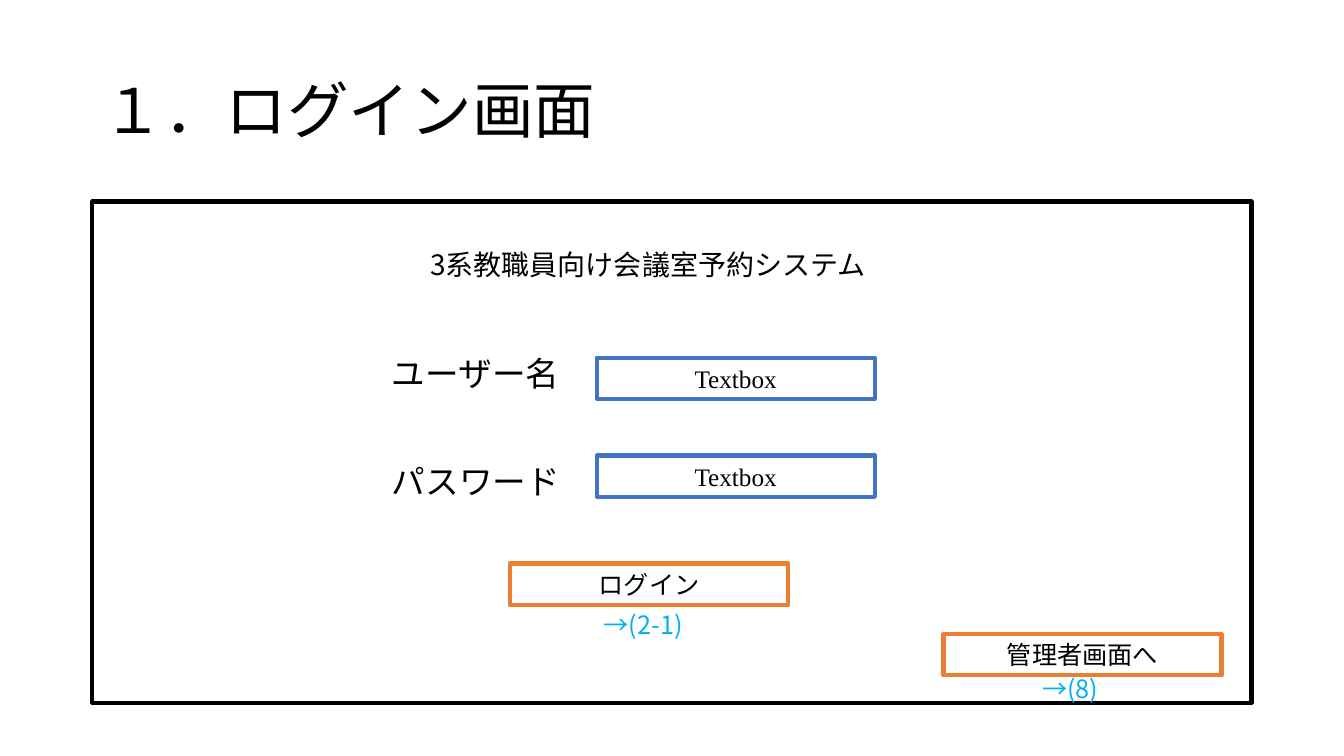
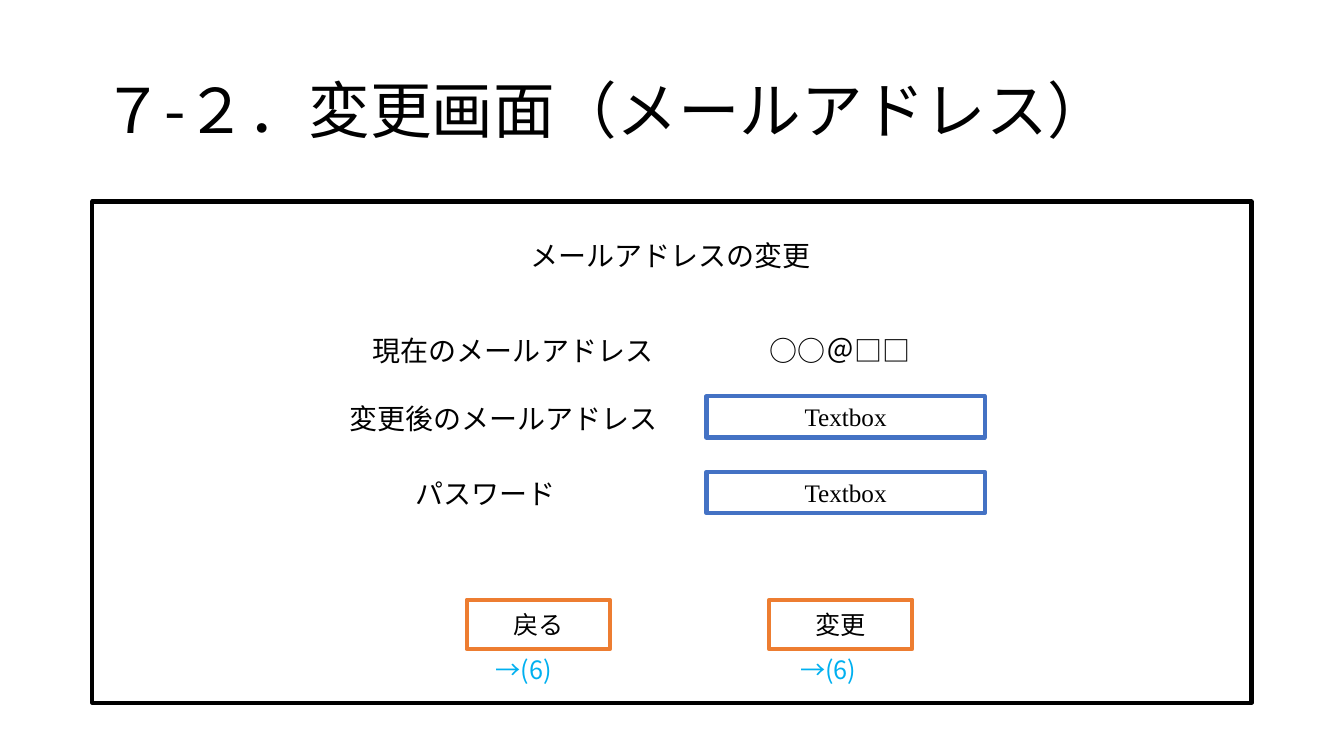
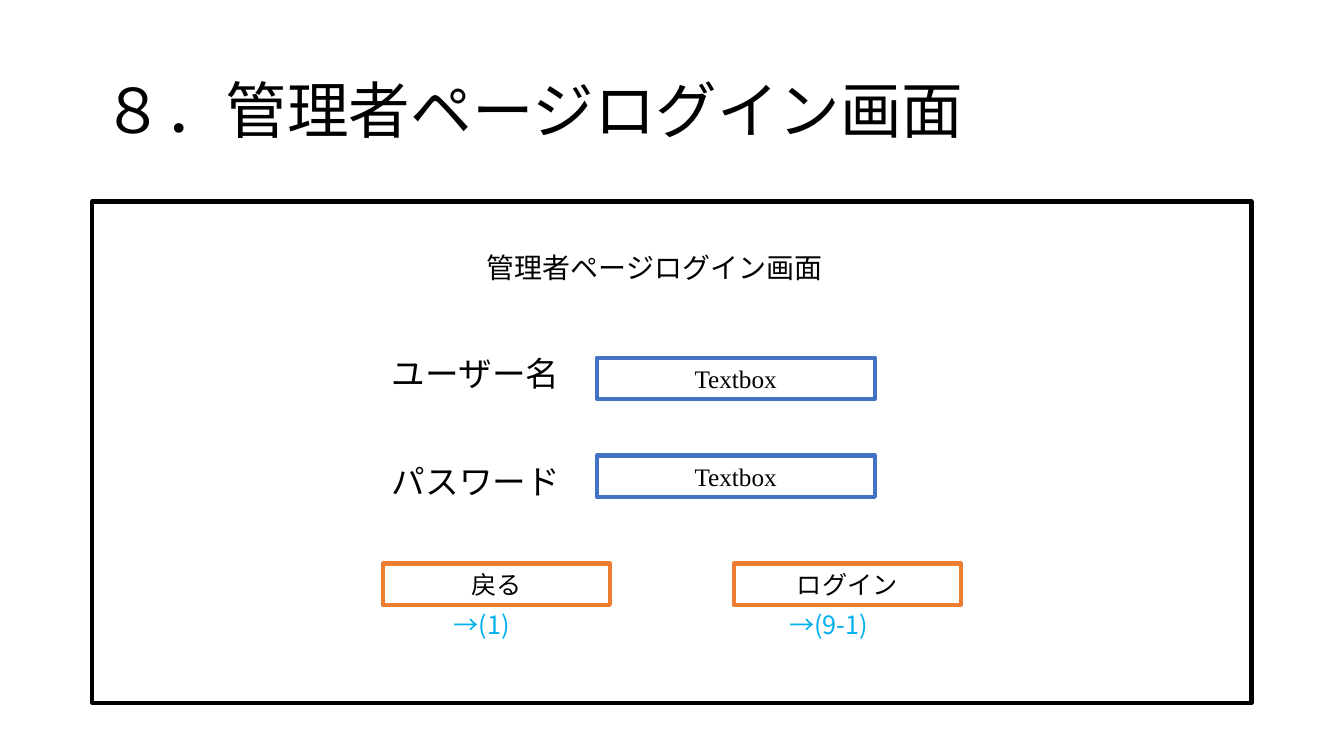
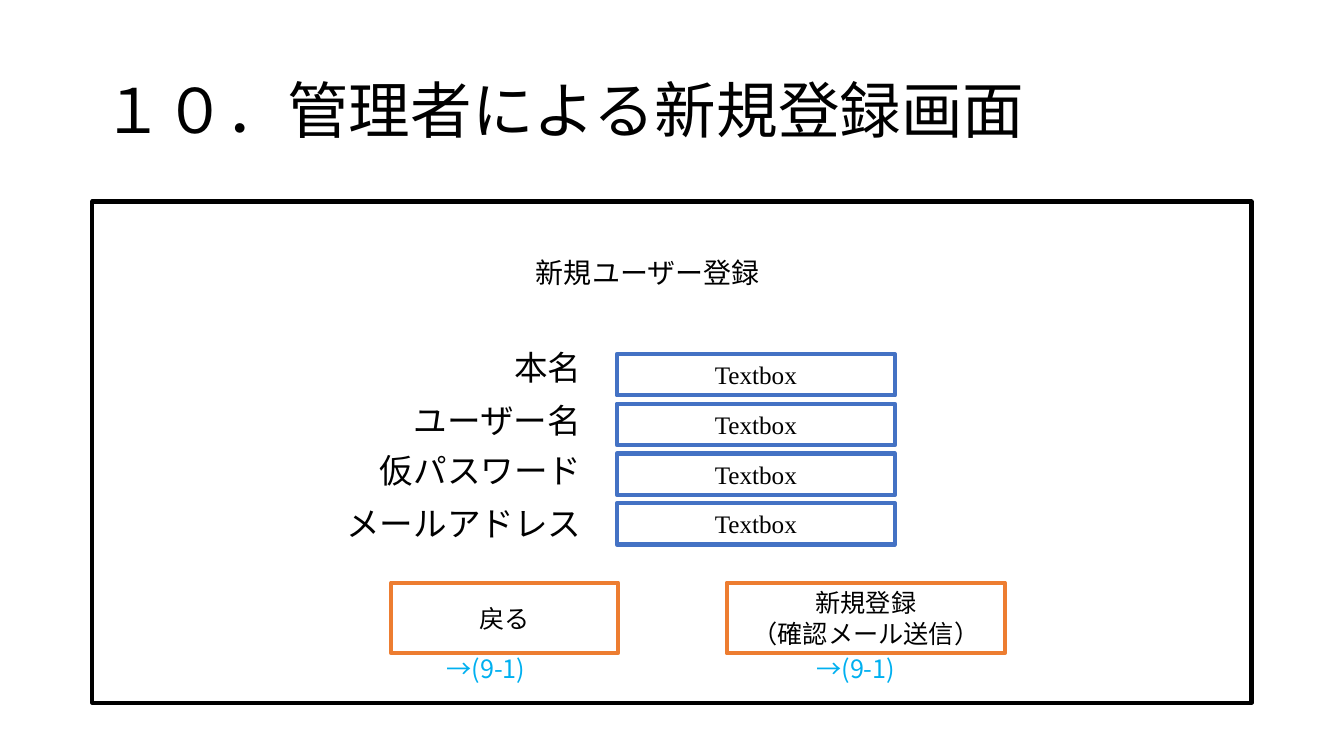
"""Build four wireframe slides of a meeting-room reservation system."""
import pptx
import pptx.dml.color
import pptx.enum.shapes
import pptx.enum.text
import pptx.oxml.ns
import pptx.util
from lxml import etree

Pt = pptx.util.Pt
SANS = "Noto Sans CJK JP"
SERIF = "Times New Roman"
BLACK = "000000"
FIELD_BLUE = "4472C4"
BUTTON_ORANGE = "ED7D31"
LINK_BLUE = "00B0F0"
FIELD_WIDTH = 198.7
FIELD_HEIGHT = 29.5
BACK_WIDTH = 162


def rgb(color):
    """Turn a hex string into a colour."""
    return pptx.dml.color.RGBColor.from_string(color)


def place(shape, left, top, width, height):
    """Move and size a shape."""
    shape.left, shape.top = Pt(left), Pt(top)
    shape.width, shape.height = Pt(width), Pt(height)


def write(frame, text, size, color=BLACK, latin=SANS, align="LEFT"):
    """Write text and set its font, one paragraph per line."""
    frame.text = text
    for paragraph in frame.paragraphs:
        paragraph.alignment = getattr(pptx.enum.text.PP_ALIGN, align)
        font = paragraph.font
        font.size = Pt(size)
        font.name = latin
        font.color.rgb = rgb(color)
        properties = paragraph._p.pPr.find(pptx.oxml.ns.qn("a:defRPr"))
        etree.SubElement(properties, pptx.oxml.ns.qn("a:ea"), typeface=SANS)


def add_text(slide, text, left, top, size=20, color=BLACK, width=None):
    """Add a text box that wraps only when a width is given."""
    fitted_width = len(text) * size + 15.4
    box = slide.shapes.add_textbox(
        Pt(left), Pt(top), Pt(width or fitted_width), Pt(size * 1.2 + 7.2))
    frame = box.text_frame
    frame.word_wrap = width is not None
    frame.auto_size = pptx.enum.text.MSO_AUTO_SIZE.SHAPE_TO_FIT_TEXT
    write(frame, text, size, color)


def add_outline(slide, left, top, width, height, color, text=""):
    """Add an unfilled rectangle with an optional centred text."""
    outline = slide.shapes.add_shape(
        pptx.enum.shapes.MSO_SHAPE.RECTANGLE,
        Pt(left), Pt(top), Pt(width), Pt(height))
    outline.shadow.inherit = False
    outline.fill.background()
    outline.line.color.rgb = rgb(color)
    outline.line.width = Pt(3)
    if text:
        outline.text_frame.vertical_anchor = pptx.enum.text.MSO_ANCHOR.MIDDLE
        write(outline.text_frame, text, 18, latin=SERIF, align="CENTER")


def add_field(slide, left, top):
    """Add an input field."""
    add_outline(slide, left, top, FIELD_WIDTH, FIELD_HEIGHT, FIELD_BLUE, "Textbox")


def add_label(slide, text, right, top):
    """Add a large field label that ends at the given right edge."""
    add_text(slide, text, right - len(text) * 24 - 15.4, top, 24)


def add_button(slide, text, left, top, width, height, target, target_left, target_top):
    """Add a button and the number of the screen it opens."""
    add_outline(slide, left, top, width, height, BUTTON_ORANGE, text)
    add_text(slide, f"→({target})", target_left, target_top, 18, LINK_BLUE, 111.6)


def add_screen(deck, name):
    """Add a slide with its title and the screen frame."""
    slide = deck.slides.add_slide(deck.slide_layouts[5])
    title = slide.shapes.title
    place(title, 66, 28.8, 828, 104.4)
    title.text_frame.auto_size = pptx.enum.text.MSO_AUTO_SIZE.NONE
    title.text_frame.vertical_anchor = pptx.enum.text.MSO_ANCHOR.MIDDLE
    write(title.text_frame, name, 44)
    title.text_frame.paragraphs[0].line_spacing = 0.9
    add_outline(slide, 66, 144, 828, 358, BLACK)
    return slide


def add_credentials(slide):
    """Add the user name and password rows of a login screen."""
    for text, label_top, field_top in (
            ("ユーザー名", 248.4, 255.6), ("パスワード", 325.4, 325.4)):
        add_label(slide, text, 408.3, label_top)
        add_field(slide, 426.2, field_top)


def add_login(deck):
    """Add the user login screen."""
    slide = add_screen(deck, "１．ログイン画面")
    add_credentials(slide)
    add_text(slide, "3系教職員向け会議室予約システム", 300.2, 173.5, width=327.6)
    add_button(slide, "ログイン", 364.3, 402.5, FIELD_WIDTH, FIELD_HEIGHT,
               "2-1", 424.1, 432)
    add_button(slide, "管理者画面へ", 673.9, 452.9, FIELD_WIDTH, FIELD_HEIGHT,
               "8", 737.3, 477.4)


def add_mail_change(deck):
    """Add the screen for changing the mail address."""
    slide = add_screen(deck, "７-２．変更画面（メールアドレス）")
    add_text(slide, "メールアドレスの変更", 371.5, 167)
    add_text(slide, "現在のメールアドレス", 259.2, 234.7)
    add_text(slide, "○○＠□□", 542.9, 234.7)
    for text, left, top in (
            ("変更後のメールアドレス", 242.6, 283), ("パスワード", 289.4, 337)):
        add_text(slide, text, left, top)
        add_field(slide, 504.7, top)
    for text, left, target_left in (("戻る", 333.4, 347), ("変更", 549.4, 564.5)):
        add_button(slide, text, left, 428.4, 102.2, 35.3, "6", target_left, 463.7)


def add_admin_login(deck):
    """Add the administrator login screen."""
    slide = add_screen(deck, "８．管理者ページログイン画面")
    add_credentials(slide)
    add_text(slide, "管理者ページログイン画面", 340.6, 175.7)
    for text, left, target, target_left in (
            ("戻る", 273.6, "1", 316.8), ("ログイン", 524.2, "9-1", 556.6)):
        add_button(slide, text, left, 402.5, BACK_WIDTH, FIELD_HEIGHT,
                   target, target_left, 431.6)


def add_registration(deck):
    """Add the screen where an administrator registers a user."""
    slide = add_screen(deck, "１０．管理者による新規登録画面")
    add_text(slide, "新規ユーザー登録", 375.8, 178.6)
    rows = (("本名", 244.1), ("ユーザー名", 282.2),
            ("仮パスワード", 318.2), ("メールアドレス", 355.7))
    for row, (text, label_top) in enumerate(rows):
        add_label(slide, text, 423.7, label_top)
        add_field(slide, 440.6, 252.9 + row * 35.5)
    add_button(slide, "戻る", 279.4, 416.2, BACK_WIDTH, 50.4, "9-1", 311.8, 463.3)
    add_button(slide, "新規登録\n（確認メール送信）", 519.1, 416.2, FIELD_WIDTH, 50.4,
               "9-1", 576, 463.3)


def main():
    """Build and save the presentation."""
    deck = pptx.Presentation()
    deck.slide_width, deck.slide_height = Pt(960), Pt(540)
    add_login(deck)
    add_mail_change(deck)
    add_admin_login(deck)
    add_registration(deck)
    deck.save("out.pptx")


main()
